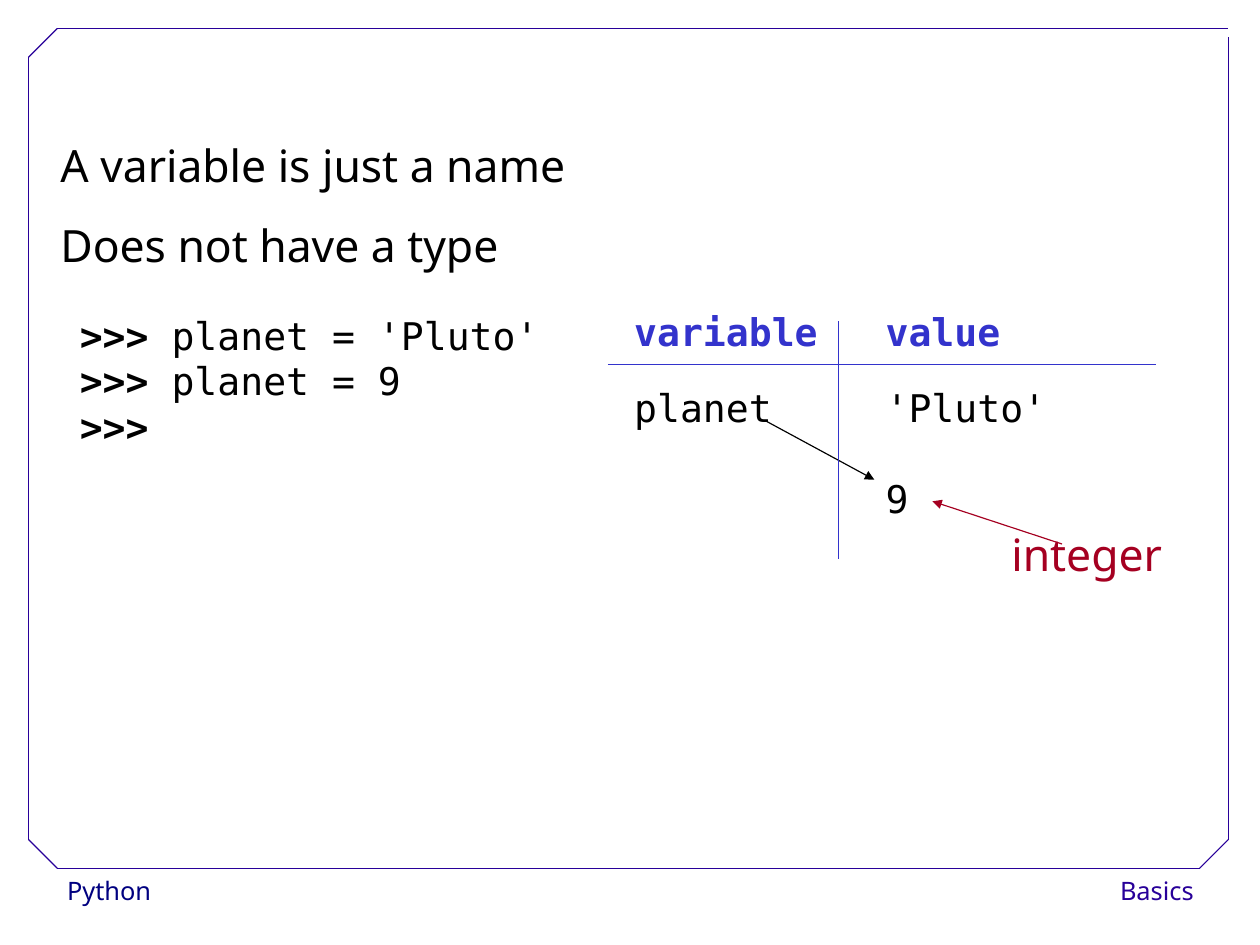
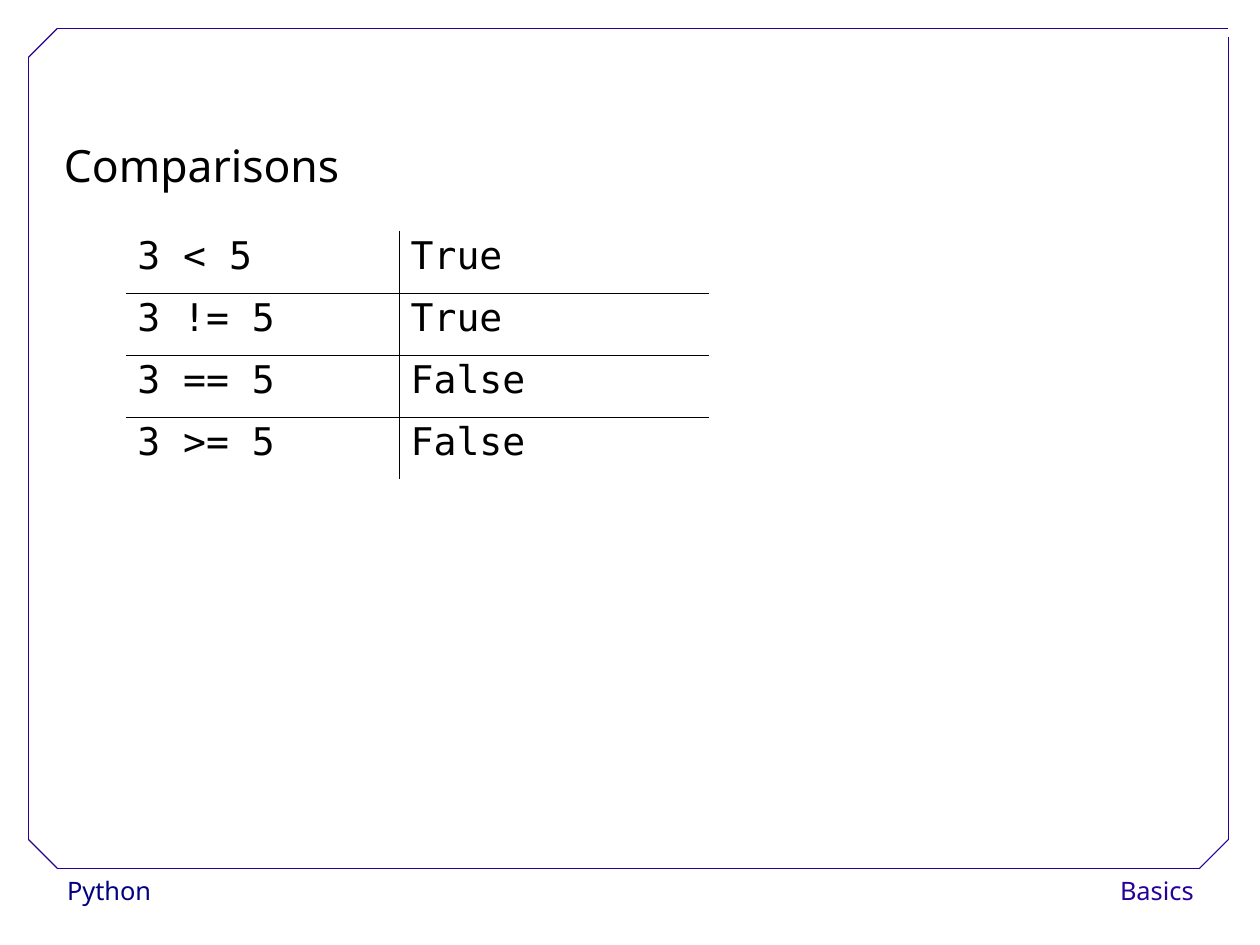
from lxml.etree import SubElement
from pptx import Presentation
from pptx.dml.color import RGBColor
from pptx.enum.shapes import MSO_CONNECTOR
from pptx.enum.text import PP_ALIGN
from pptx.oxml.ns import qn
from pptx.util import Pt

COLORS = {
    "paper": "FFFFFF",
    "ink": "000000",
    "frame": "280099",
    "course": "000080",
    "grid": "3333CC",
    "note": "A50021",
}
BODY = {"name": "Noto Sans", "size": Pt(28)}
FOOTER = {"name": "Noto Sans", "size": Pt(16)}
CODE = {"name": "DejaVu Sans Mono", "size": Pt(24)}
HEADER = {**CODE, "bold": True}


def write(frame, paragraphs, font, color="ink", **layout):
    """Fill a text frame; each paragraph is a list of spans, and a >>> prompt is bold."""
    frame.word_wrap = True
    for index, spans in enumerate(paragraphs):
        para = frame.add_paragraph() if index else frame.paragraphs[0]
        for name, value in layout.items():
            if index or name != "space_before":
                setattr(para, name, value)
        for text in spans:
            span = para.add_run()
            span.text = text
            for name, value in {"bold": text.startswith(">>>"), **font}.items():
                setattr(span.font, name, value)
            span.font.color.rgb = RGBColor.from_string(COLORS[color])


def add_line(page, ends, color, arrow=False):
    line = page.shapes.add_connector(MSO_CONNECTOR.STRAIGHT, *map(Pt, ends))
    line.line.width = Pt(0.75)
    line.line.color.rgb = RGBColor.from_string(COLORS[color])
    properties = line.element.spPr
    if arrow:
        SubElement(properties.find(qn("a:ln")), qn("a:tailEnd"), type="triangle")
    SubElement(properties, qn("a:effectLst"))


deck = Presentation()
deck.slide_width, deck.slide_height = Pt(793.7), Pt(595.28)
pages = [deck.slides.add_slide(deck.slide_layouts[6]) for _ in range(2)]
variables, comparisons = pages

# Shared frame and footers
LEFT, TOP, RIGHT, BOTTOM, CORNER = 18, 18, 773.7, 546.9, 18
frame_lines = [
    (LEFT + CORNER, BOTTOM, RIGHT - CORNER, BOTTOM),
    (LEFT, BOTTOM - CORNER, LEFT, TOP + CORNER),
    (LEFT + CORNER, TOP, RIGHT, TOP),
    (RIGHT, BOTTOM - CORNER, RIGHT, 23.2),
    (LEFT, TOP + CORNER, LEFT + CORNER, TOP),
    (RIGHT - CORNER, BOTTOM, RIGHT, BOTTOM - CORNER),
    (LEFT, BOTTOM - CORNER, LEFT + CORNER, BOTTOM),
]
footers = [
    ("Python", 35.2, 155, "course", PP_ALIGN.LEFT),
    ("Basics", 658, 101, "frame", PP_ALIGN.RIGHT),
]
for page in pages:
    for text, left, width, color, alignment in footers:
        box = page.shapes.add_textbox(Pt(left), Pt(547.2), Pt(width), Pt(29))
        box.fill.solid()
        box.fill.fore_color.rgb = RGBColor.from_string(COLORS["paper"])
        write(box.text_frame, [[text]], FOOTER, color, alignment=alignment, line_spacing=1.02)
    for ends in frame_lines:
        add_line(page, ends, "frame")

# Text of both slides
NAME_LEFT, VALUE_LEFT = 392.4, 550.8
body_layout = {"line_spacing": 1.5}
header_layout = {"line_spacing": 0.93}
session = [[">>>", " planet = 'Pluto'"], [">>>", " planet = 9"], [">>>"]]
statements = [["A variable is just a name"], ["Does not have a type"]]
texts = [
    (variables, (31, 66.5, 404, 108), statements, BODY, "ink", body_layout),
    (variables, (43.2, 193, 312, 231), session, CODE, "ink", {}),
    (variables, (NAME_LEFT, 238.7, 135, 150), [["planet"]], CODE, "ink", {}),
    (variables, (VALUE_LEFT, 238.6, 135, 150), [["'Pluto'"], ["9"]], CODE, "ink",
     {"space_before": Pt(28.5)}),
    (variables, (NAME_LEFT, 193.3, 135, 36), [["variable"]], HEADER, "grid", header_layout),
    (variables, (VALUE_LEFT, 193.3, 135, 36), [["value"]], HEADER, "grid", header_layout),
    (variables, (630, 311.4, 150, 57.6), [["integer"]], BODY, "note", body_layout),
    (comparisons, (33.2, 66.5, 260, 57.6), [["Comparisons"]], BODY, "ink", body_layout),
]
for page, place, paragraphs, font, color, layout in texts:
    box = page.shapes.add_textbox(*map(Pt, place))
    write(box.text_frame, paragraphs, font, color, **layout)

# Name and value diagram
add_line(variables, (483, 265.5, VALUE_LEFT, 302.2), "ink", arrow=True)
add_line(variables, (383, 229.5, 728, 229.5), "grid")
add_line(variables, (528.2, 202.3, 528.2, 352), "grid")
add_line(variables, (669, 342.7, 587.3, 315.8), "note", arrow=True)

# Comparison table with inner rules only
results = [("3 < 5", "True"), ("3 != 5", "True"), ("3 == 5", "False"), ("3 >= 5", "False")]
widths = (172.2, 195)
ROW_HEIGHT = 39.15
table = comparisons.shapes.add_table(
    len(results), len(widths), Pt(79.3), Pt(145.4), Pt(sum(widths)), Pt(ROW_HEIGHT * len(results))
).table
table.first_row = table.horz_banding = False
for column, width in zip(table.columns, widths):
    column.width = Pt(width)
for row_index, result in enumerate(results):
    table.rows[row_index].height = Pt(ROW_HEIGHT)
    for column_index, text in enumerate(result):
        cell = table.cell(row_index, column_index)
        write(cell.text_frame, [[text]], CODE, line_spacing=0.93)
        borders = {
            "a:lnL": column_index > 0,
            "a:lnR": column_index < len(widths) - 1,
            "a:lnT": row_index > 0,
            "a:lnB": row_index < len(results) - 1,
        }
        properties = cell._tc.get_or_add_tcPr()
        for side, inner in borders.items():
            border = SubElement(properties, qn(side), w=str(Pt(0.45)))
            fill = SubElement(border, qn("a:solidFill" if inner else "a:noFill"))
            if inner:
                SubElement(fill, qn("a:srgbClr"), val=COLORS["ink"])
        cell.fill.background()

deck.save("out.pptx")
